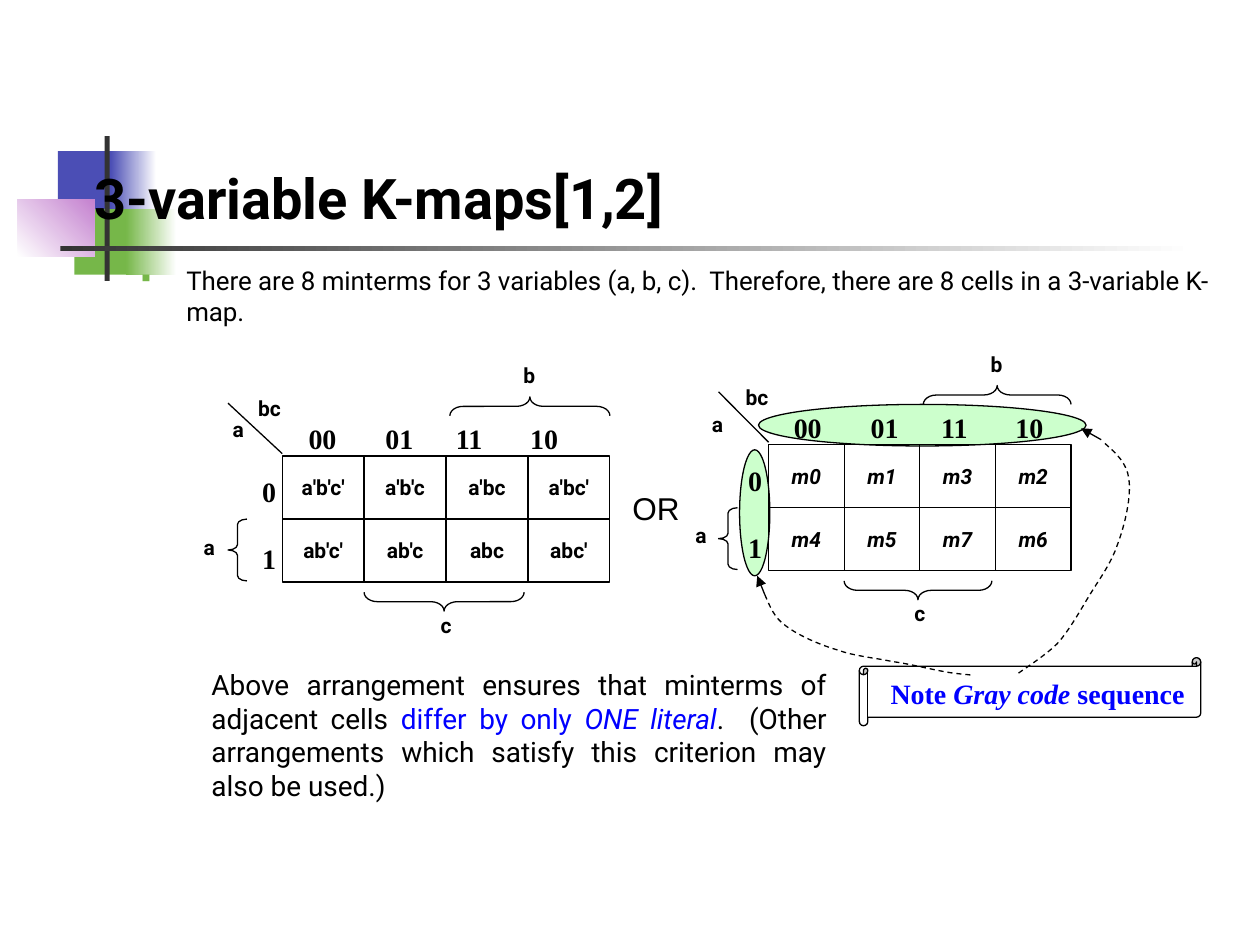
"""Build a slide on three-variable Karnaugh maps."""
import pptx
import pptx.dml.color
import pptx.enum.dml
import pptx.enum.shapes
import pptx.enum.text
import pptx.oxml
import pptx.oxml.ns
import pptx.util
from lxml import etree

Inches = pptx.util.Inches
MSO = pptx.enum.shapes.MSO_SHAPE
ALIGN = pptx.enum.text.PP_ALIGN
BLACK, BLUE, GREEN, MINT = "000000", "0000FF", "76B749", "CCFFCC"

DECORATIONS = [
    ((0.46, 1.2, 0.48, 0.52), "4B4EB5", None, 0),
    ((0.88, 1.2, 0.36, 0.52), "4B4EB5", "FFFFFF", 0),
    ((0.59, 1.66, 0.46, 0.52), GREEN, None, 0),
    ((1, 1.66, 0.4, 0.52), GREEN, "FFFFFF", 0),
    ((0.14, 1.58, 0.61, 0.46), "FFFFFF", "C481CF", 45),
    ((0.83, 1.08, 0.04, 1.15), "333333", None, 0),
    ((0.48, 1.95, 9, 0.04), "333333", "FFFFFF", 0),
]
TITLE = "3-variable K-maps[1,2]"
INTRO = ("There are 8 minterms for 3 variables (a, b, c).  Therefore, "
         "there are 8 cells in a 3-variable K-map.")
SUMMARY = [
    ("Above arrangement ensures that minterms of adjacent cells ", {}),
    ("differ by only ", {"color": BLUE}),
    ("ONE literal", {"color": BLUE, "italic": True}),
    (".  (Other arrangements which satisfy this criterion may also be used.)", {}),
]
NOTE = [("Note ", {}), ("Gray code", {"italic": True}), (" sequence", {})]

MAPS = [
    {"x": 2.24, "y": 3.62, "cell": 0.65, "italic": False, "corner": (-0.59, -0.36),
     "rows": [["a'b'c'", "a'b'c", "a'bc", "a'bc'"], ["ab'c'", "ab'c", "abc", "abc'"]]},
    {"x": 6.1, "y": 3.53, "cell": 0.6, "italic": True, "corner": (-0.68, -0.31),
     "rows": [["m0", "m1", "m3", "m2"], ["m4", "m5", "m7", "m6"]]},
]
ROW_H = 0.5
COLUMN_CODES = "00\t01\t11\t10"
COLUMN_TABS = [0.61, 1.17, 1.76]
VARIABLES = [("a", -0.82, 0.57, 0.48), ("b", 1.72, -0.79, 0.48),
             ("c", 1.06, 1.19, 0.48), ("bc", -0.38, -0.53, 0.56)]
BRACES = [(-0.43, 0.5, 0.15, 0.49, 0, 0.28),
          (1.33, -0.47, 1.27, 0.15, 90, 0.7),
          (0.65, 1.08, 1.27, 0.15, 270, 0.7)]
GRAY_OVALS = [(5.87, 3.57, 0.24, 1), (6.02, 3.21, 2.6, 0.33)]
ARROWHEADS = [((6.07, 4.72), (6.01, 4.57)), ((8.74, 3.49), (8.58, 3.4))]
CURVES = [
    [(8.77, 3.52), (8.86, 3.6), (8.94, 3.67), (8.96, 3.8), (8.98, 3.94),
     (8.93, 4.16), (8.87, 4.32), (8.82, 4.47), (8.73, 4.59), (8.65, 4.72),
     (8.57, 4.85), (8.49, 5), (8.39, 5.11), (8.29, 5.21), (8.11, 5.32), (8.06, 5.36)],
    [(6.07, 4.72), (6.11, 4.81), (6.14, 4.9), (6.24, 4.97), (6.33, 5.04),
     (6.51, 5.12), (6.65, 5.16), (6.79, 5.21), (6.94, 5.22), (7.08, 5.25),
     (7.22, 5.27), (7.38, 5.31), (7.49, 5.33), (7.59, 5.35), (7.66, 5.35), (7.72, 5.36)],
]
LABEL = {"size": 12, "name": "Roboto", "bold": True}
CODE = {"size": 16, "name": "Times New Roman", "bold": True}

prs = pptx.Presentation()
prs.slide_width, prs.slide_height = Inches(10), Inches(7.5)
s = prs.slides.add_slide(prs.slide_layouts[6])


def rgb(value):
    return pptx.dml.color.RGBColor.from_string(value)


def sub(parent, tag, **attrs):
    return etree.SubElement(parent, pptx.oxml.ns.qn(tag), attrs)


def outline(sp):
    sp.line.color.rgb = rgb(BLACK)
    sp.line.width = pptx.util.Pt(0.75)


def shape(kind, box, fill=None, line=True):
    sp = s.shapes.add_shape(kind, *map(Inches, box))
    sp.shadow.inherit = False
    if fill:
        sp.fill.solid()
        sp.fill.fore_color.rgb = rgb(fill)
    else:
        sp.fill.background()
    if line:
        outline(sp)
    else:
        sp.line.fill.background()
    return sp


def line(start, end, arrow=False):
    sp = s.shapes.add_connector(pptx.enum.shapes.MSO_CONNECTOR.STRAIGHT,
                                *map(Inches, (*start, *end)))
    outline(sp)
    if arrow:
        sub(sp.line._get_or_add_ln(), "a:tailEnd", type="triangle")
    sub(sp._element.spPr, "a:effectLst")


def text(box, paragraphs, style, align=ALIGN.LEFT, gap=0):
    sp = s.shapes.add_textbox(*map(Inches, box))
    tf = sp.text_frame
    tf.word_wrap = True
    for i, runs in enumerate(paragraphs):
        p = tf.add_paragraph() if i else tf.paragraphs[0]
        p.alignment = align
        if i:
            p.space_before = pptx.util.Pt(gap)
        for words, extra in runs:
            r = p.add_run()
            r.text = words
            values = {"color": BLACK, **style, **extra}
            r.font.color.rgb = rgb(values.pop("color"))
            values["size"] = pptx.util.Pt(values["size"])
            for key, value in values.items():
                setattr(r.font, key, value)
    return tf


def curve(points, steps=8):
    track = [points[0]]
    for i in range(0, len(points) - 1, 3):
        a, b, c, d = points[i:i + 4]
        for n in range(1, steps + 1):
            t = n / steps
            u = 1 - t
            track.append(tuple(u**3 * a[j] + 3 * u * u * t * b[j] + 3 * u * t * t * c[j]
                               + t**3 * d[j] for j in (0, 1)))
    track = [(Inches(px), Inches(py)) for px, py in track]
    fb = s.shapes.build_freeform(*track[0])
    fb.add_line_segments(track[1:], close=False)
    sp = fb.convert_to_shape()
    sp.shadow.inherit = False
    sp.fill.background()
    outline(sp)
    sp.line.dash_style = pptx.enum.dml.MSO_LINE.DASH


def kmap(x, y, cell, italic, corner, rows):
    k = cell / MAPS[0]["cell"]
    width, height = 4 * cell, len(rows) * ROW_H
    shape(MSO.RECTANGLE, (x, y, width, height))
    line((x, y + ROW_H), (x + width, y + ROW_H))
    for col in range(1, 4):
        line((x + col * cell, y), (x + col * cell, y + height))
    for i, row in enumerate(rows):
        for j, term in enumerate(row):
            text((x + j * cell, y + i * ROW_H + 0.1, cell, 0.4), [[(term, {})]],
                 {**LABEL, "italic": italic}, ALIGN.CENTER)
    for name, dx, dy, w in VARIABLES + [("a", corner[0], corner[1], 0.48)]:
        text((x + dx * k, y + dy, w * k, 0.32), [[(name, {})]], LABEL, ALIGN.CENTER)
    for dx, dy, w, h, turn, bend in BRACES:
        w = w * k if turn else w
        long, thin = max(w, h), min(w, h)
        cx, cy = x + dx * k + w / 2, y + dy + h / 2
        sp = shape(MSO.LEFT_BRACE, (cx - thin / 2, cy - long / 2, thin, long))
        sp.rotation = turn
        sp.adjustments[0] = bend
    line((x, y - 0.02), (x - 0.43 * k, y - 0.42))
    text((x - 0.32 * k, y + 0.1, 0.37 * k, 0.85), [[("0", {})], [("1", {})]],
         CODE, ALIGN.RIGHT, gap=19)
    tf = text((x + 0.11 * k, y - 0.32, 2.42 * k, 0.4), [[(COLUMN_CODES, {})]], CODE)
    tabs = sub(tf.paragraphs[0]._p.get_or_add_pPr(), "a:tabLst")
    for stop in COLUMN_TABS:
        sub(tabs, "a:tab", pos=str(Inches(stop)), algn="l")


for box, color, end, angle in DECORATIONS:
    sp = shape(MSO.RECTANGLE, box, color, line=False)
    if end:
        sp.fill.gradient()
        sp.fill.gradient_angle = angle
        for stop, value in zip(sp.fill.gradient_stops, (color, end)):
            stop.color.rgb = rgb(value)

tf = text((0.65, 0.63, 8.52, 1.25), [[(TITLE, {})]], {**LABEL, "size": 32})
tf.vertical_anchor = pptx.enum.text.MSO_ANCHOR.BOTTOM
tf = text((1, 1.75, 8.75, 0.92), [[(INTRO, {})]], {"size": 14.8, "name": "Roboto"})
tf.margin_top = Inches(0.35)
pPr = tf.paragraphs[0]._p.get_or_add_pPr()
pPr.set("marL", str(Inches(0.38)))
pPr.set("indent", str(-Inches(0.38)))
sub(sub(pPr, "a:buClr"), "a:srgbClr", val=GREEN)
sub(pPr, "a:buSzPct", val="80000")
sub(pPr, "a:buChar", char="▪")

for oval in GRAY_OVALS:
    shape(MSO.OVAL, oval, MINT)
for m in MAPS:
    kmap(**m)
text((4.92, 3.83, 0.62, 0.43), [[("OR", {})]], {"size": 18, "name": "Arial"})
shape(MSO.HORIZONTAL_SCROLL, (6.82, 5.22, 2.71, 0.54), "FFFFFF")
text((6.97, 5.32, 2.6, 0.4), [NOTE], {**CODE, "color": BLUE})
for start, end in ARROWHEADS:
    line(start, end, arrow=True)
for points in CURVES:
    curve(points)
text((1.58, 5.25, 5.08, 1.5), [SUMMARY], {"size": 16, "name": "Roboto"}, ALIGN.JUSTIFY)

prs.save("out.pptx")
